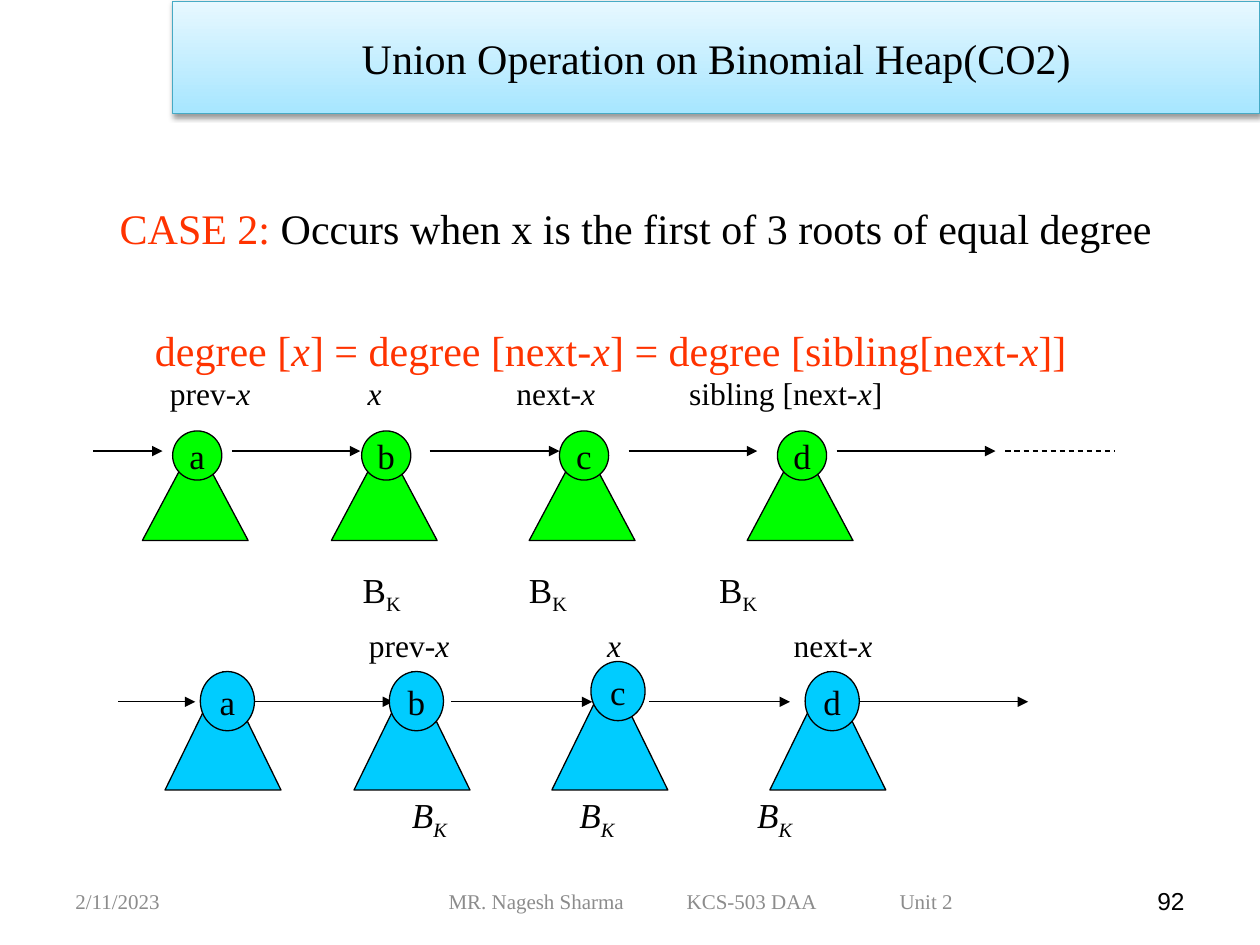
import pptx
import pptx.util
import pptx.dml.color
import pptx.enum.dml
import pptx.enum.shapes
import pptx.enum.text
import pptx.oxml
import pptx.oxml.ns
from lxml import etree

Inches, Pt = pptx.util.Inches, pptx.util.Pt
SHAPE = pptx.enum.shapes.MSO_SHAPE
ALIGN = pptx.enum.text.PP_ALIGN
ANCHOR = pptx.enum.text.MSO_ANCHOR
qn = pptx.oxml.ns.qn

COLORS = {"ink": "000000", "accent": "FF3300", "before": "00FF00", "after": "00CCFF",
          "footer": "8C8C8C", "title_low": "A7E6FF", "title_high": "E7F8FF",
          "title_edge": "46AAC5"}
ITALIC = {"italic": True}
SUBSCRIPT = {"subscript": True}


def rgb(name):
    return pptx.dml.color.RGBColor.from_string(COLORS[name])


class HeapSlide:
    """Holds the style and the current slide."""

    def __init__(self, slide, font="Times New Roman"):
        self.slide = slide
        self.font = font

    def add_runs(self, paragraph, runs, **base):
        """Adds (text, format) runs on top of a base format."""
        for text, own in runs:
            run = paragraph.add_run()
            run.text = text
            values = {"name": self.font, "color": "ink", **base, **own}
            run.font.color.rgb = rgb(values.pop("color"))
            if values.pop("subscript", False):
                run.font._element.set("baseline", "-25000")
            for key, value in values.items():
                setattr(run.font, key, value)

    def tabs(self, paragraph, stops):
        properties = paragraph._p.get_or_add_pPr()
        tab_list = etree.SubElement(properties, qn("a:tabLst"))
        for stop in stops:
            etree.SubElement(tab_list, qn("a:tab"), pos=str(Inches(stop)), algn="l")

    def text(self, at, runs, stops=(), align=ALIGN.LEFT, frame_format=None, **base):
        frame = self.slide.shapes.add_textbox(*map(Inches, at)).text_frame
        for key, value in {"word_wrap": True, **(frame_format or {})}.items():
            setattr(frame, key, value)
        paragraph = frame.paragraphs[0]
        paragraph.alignment = align
        if stops:
            self.tabs(paragraph, stops)
        self.add_runs(paragraph, runs, **base)
        return frame

    def shape(self, kind, at, fill, edge="ink"):
        shape = self.slide.shapes.add_shape(kind, *map(Inches, at))
        shape.shadow.inherit = False
        if fill:
            shape.fill.solid()
            shape.fill.fore_color.rgb = rgb(fill)
        shape.line.color.rgb = rgb(edge)
        shape.line.width = Pt(0.75)
        return shape

    def centered(self, shape, text, size, margin=0):
        frame = shape.text_frame
        frame.vertical_anchor = ANCHOR.MIDDLE
        frame.margin_left = frame.margin_right = Inches(margin)
        frame.margin_top = frame.margin_bottom = Inches(margin)
        frame.paragraphs[0].alignment = ALIGN.CENTER
        self.add_runs(frame.paragraphs[0], [(text, {})], size=size)
        return frame

    def tree(self, name, triangle, root, fill):
        self.shape(SHAPE.ISOSCELES_TRIANGLE, triangle, fill)
        circle = self.shape(SHAPE.OVAL, root, fill)
        self.centered(circle, name, Pt(20)).word_wrap = False

    def link(self, start, end, y, dashed=False):
        link = self.slide.shapes.add_connector(
            pptx.enum.shapes.MSO_CONNECTOR.STRAIGHT,
            Inches(start), Inches(y), Inches(end), Inches(y))
        link.line.color.rgb = rgb("ink")
        link.line.width = Pt(0.75)
        if dashed:
            link.line.dash_style = pptx.enum.dml.MSO_LINE.DASH
        else:
            etree.SubElement(link.line._get_or_add_ln(), qn("a:tailEnd"), type="triangle")
        etree.SubElement(link._element.spPr, qn("a:effectLst"))

    def title(self, at, text):
        banner = self.shape(SHAPE.RECTANGLE, at, None, "title_edge")
        banner.fill.gradient()
        banner.fill.gradient_angle = 90
        for stop, name in zip(banner.fill.gradient_stops, ("title_low", "title_high")):
            stop.color.rgb = rgb(name)
        effects = banner._element.spPr.find(qn("a:effectLst"))
        shadow = etree.SubElement(effects, qn("a:outerShdw"), blurRad=str(Pt(3.1)),
                                  dist=str(Pt(1.6)), dir="5400000", rotWithShape="0")
        color = etree.SubElement(shadow, qn("a:srgbClr"), val=COLORS["ink"])
        etree.SubElement(color, qn("a:alpha"), val="38000")
        self.centered(banner, text, Pt(24), 0.1)


def main():
    deck = pptx.Presentation()
    deck.slide_width, deck.slide_height = Inches(10), Inches(7.5)
    page = HeapSlide(deck.slides.add_slide(deck.slide_layouts[6]))

    # Title and case description
    page.title((1.37, 0.01, 8.63, 0.89), "Union Operation on Binomial Heap(CO2)")
    case = page.text(
        (0.63, 1.41, 8.82, 1.25),
        [("CASE 2:", {"color": "accent"}),
         (" Occurs when x is the first of 3 roots of equal degree", {})],
        frame_format={"margin_left": Inches(0.32), "margin_top": Inches(0.2)},
        align=ALIGN.JUSTIFY, size=Pt(24))
    condition = case.add_paragraph()
    condition._p.get_or_add_pPr().set("marL", str(Inches(0.28)))
    condition.alignment = ALIGN.JUSTIFY
    condition.space_before = Pt(41)
    page.add_runs(condition, [("degree [", {}), ("x", ITALIC), ("] = degree [next-", {}),
                              ("x", ITALIC), ("] = degree [sibling[next-", {}),
                              ("x", ITALIC), ("]]", {})], size=Pt(24), color="accent")

    # Pointer labels above each root list
    grow = {"auto_size": pptx.enum.text.MSO_AUTO_SIZE.SHAPE_TO_FIT_TEXT}
    page.text((1.25, 2.92, 7.28, 0.4),
              [("prev-", {}), ("x\tx", ITALIC), ("\tnext-", {}), ("x", ITALIC),
               ("\tsibling [next-", {}), ("x", ITALIC), ("]", {})],
              stops=(1.57, 2.75, 4.12), frame_format=grow, size=Pt(18))
    page.text((2.58, 4.92, 6.14, 0.4),
              [("\tprev-", {}), ("x\tx", ITALIC), ("\tnext-", {}), ("x", ITALIC)],
              stops=(0.25, 2.14, 3.62), frame_format=grow, size=Pt(18))

    # Links of the root lists
    for y, spans in (
            (3.58, ((0.74, 1.29), (1.84, 2.86), (3.41, 4.44), (4.99, 6.01), (6.64, 7.9))),
            (5.57, ((0.94, 1.55), (2, 3.12), (3.58, 4.7), (5.15, 6.27), (6.78, 8.16)))):
        for start, end in spans:
            page.link(start, end, y)
    page.link(7.98, 8.85, 3.58, dashed=True)

    # Binomial trees before and after the step
    for name, left in zip("abcd", (1.13, 2.63, 4.2, 5.93)):
        page.tree(name, (left, 3.5, 0.84, 0.79), (left + 0.24, 3.42, 0.39, 0.39), "before")
        left += 0.18
        shift, top = (0.31, 5.25) if name == "c" else (0.28, 5.33)
        page.tree(name, (left, 5.33, 0.92, 0.94), (left + shift, top, 0.43, 0.47), "after")

    # Tree degrees
    for at, stops, italic in (((2.78, 4.46, 4.96, 0.43), (1.32, 2.83), False),
                              ((3.17, 6.25, 4.88, 0.43), (1.33, 2.74), True)):
        degrees = [("B", {}), ("K", SUBSCRIPT)]
        page.text(at, degrees + [("\tB", {}), ("K", SUBSCRIPT)] * 2, stops=stops,
                  frame_format=grow, size=Pt(20), italic=italic)

    # Footer
    middle = {"vertical_anchor": ANCHOR.MIDDLE}
    page.text((0.5, 6.95, 2.33, 0.4), [("2/11/2023", {})],
              frame_format=middle, size=Pt(12), color="footer")
    page.text((3.42, 6.95, 4.33, 0.4), [("MR. Nagesh Sharma\tKCS-503 DAA\tUnit 2", {})],
              stops=(1.89, 3.58), frame_format={**middle, "margin_left": Inches(0.14)},
              size=Pt(12), color="footer")
    page.text((7.17, 6.95, 2.33, 0.4), [("92", {})], align=ALIGN.RIGHT,
              frame_format=middle, size=Pt(14), name="Arial")

    deck.save("out.pptx")


if __name__ == "__main__":
    main()
